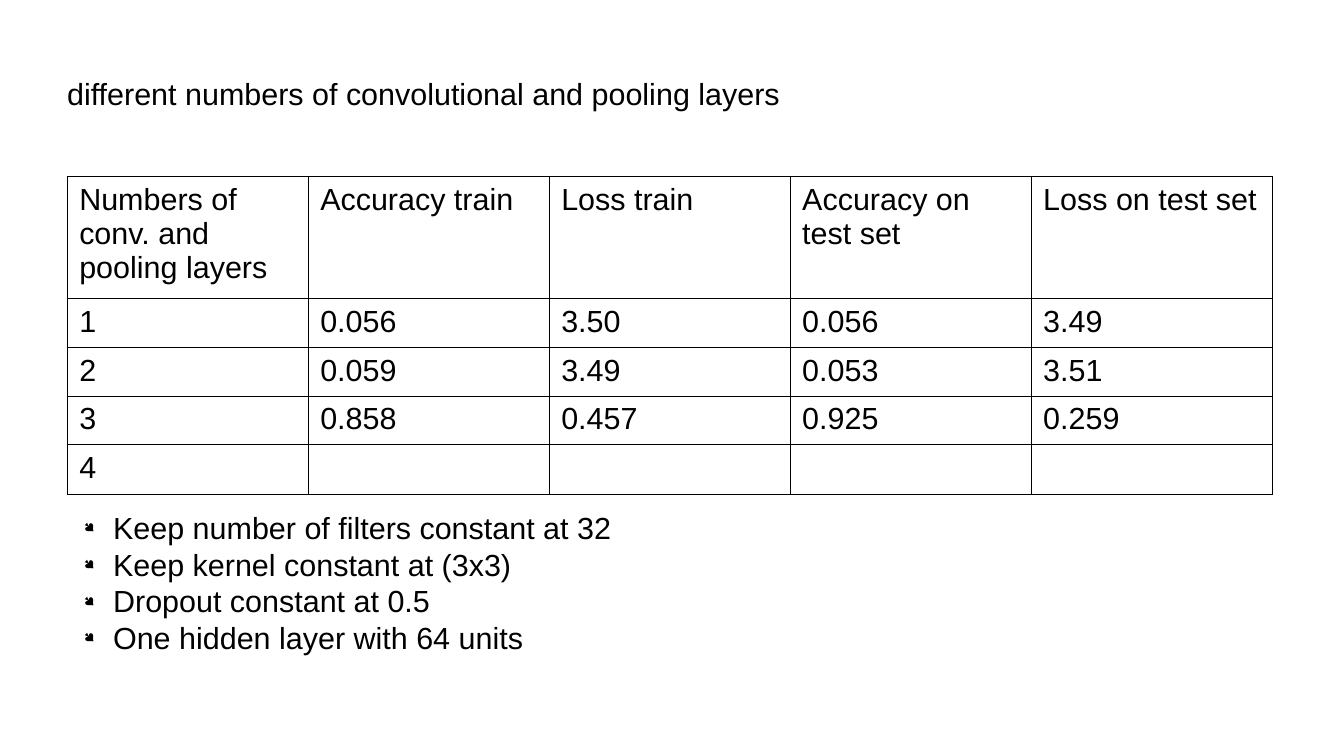
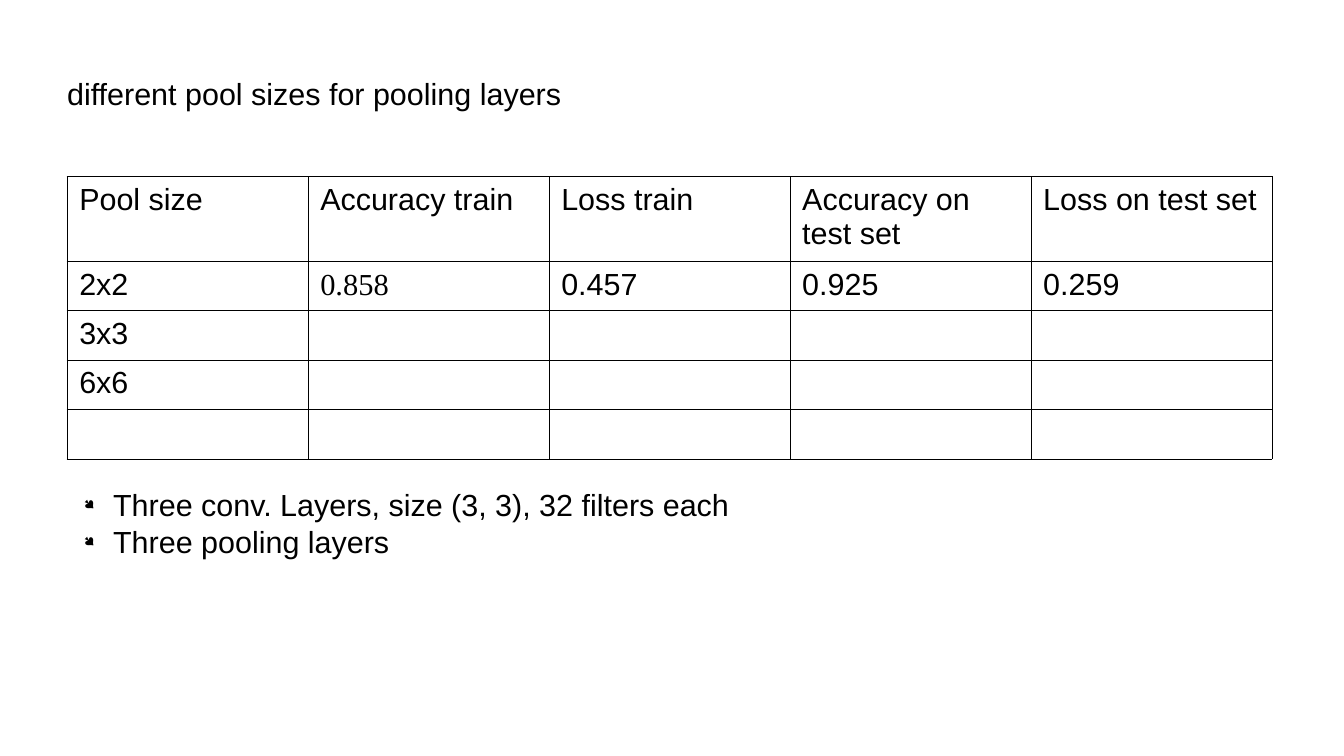
from pptx import Presentation
from pptx import util as u
from pptx.dml.color import RGBColor
from pptx.enum import text
from pptx.oxml import ns
from lxml import etree

BLACK = RGBColor(0x00, 0x00, 0x00)
WIDTH, HEIGHT = 11.02, 6.2
MARGIN = 0.55
COLUMN = 9.88 / 5
ROW = 0.4
MEASURES = ["Accuracy train", "Loss train", "Accuracy on test set", "Loss on test set"]


def write(para, words, font="Arial", size=18, color=BLACK):
    para.alignment = text.PP_ALIGN.LEFT
    span = para.add_run()
    span.text = words
    span.font.name = font
    span.font.size = u.Pt(size)
    span.font.color.rgb = color


def add_xml(parent, tag, **attributes):
    return etree.SubElement(parent, ns.qn(tag), attributes)


class ResultsDeck:
    def __init__(self):
        self.deck = Presentation()
        self.deck.slide_width = u.Inches(WIDTH)
        self.deck.slide_height = u.Inches(HEIGHT)
        self.page = None

    def place(self, column, row, columns, rows):
        return (u.Inches(MARGIN + column * COLUMN), u.Inches(row * ROW),
                u.Inches(columns * COLUMN), u.Inches(rows * ROW))

    def start_page(self, title):
        self.page = self.deck.slides.add_slide(self.deck.slide_layouts[5])
        box = self.page.shapes.title
        box.left, box.top, box.width, box.height = self.place(0, 0.62, 5.02, 2.6)
        frame = box.text_frame
        frame.margin_left = frame.margin_right = frame.margin_top = frame.margin_bottom = 0
        frame.vertical_anchor = text.MSO_ANCHOR.MIDDLE
        frame.auto_size = text.MSO_AUTO_SIZE.NONE
        write(frame.paragraphs[0], title)

    def border(self, cell):
        properties = cell._tc.get_or_add_tcPr()
        for index, side in enumerate(("a:lnL", "a:lnR", "a:lnT", "a:lnB")):
            line = etree.Element(ns.qn(side), w=str(u.Pt(0.57)))
            fill = add_xml(line, "a:solidFill")
            add_xml(fill, "a:srgbClr", val=str(BLACK))
            properties.insert(index, line)

    def add_results(self, first_header, results, header_rows, fonts):
        rows = [[first_header] + MEASURES] + results
        size = self.place(0, 3.62, 5, header_rows + len(results))
        table = self.page.shapes.add_table(len(rows), 5, *size).table
        table.first_row = table.horz_banding = False
        for column in table.columns:
            column.width = u.Inches(COLUMN)
        for index, values in enumerate(rows):
            table.rows[index].height = u.Inches(ROW * (1 if index else header_rows))
            for position in range(5):
                cell = table.cell(index, position)
                cell.fill.background()
                self.border(cell)
                if position < len(values):
                    write(cell.text_frame.paragraphs[0], values[position],
                          font=fonts.get((index, position), "Arial"))

    def add_notes(self, notes, row, columns):
        size = self.place(0.02, row, columns, 0.25 + 0.7 * len(notes))
        frame = self.page.shapes.add_textbox(*size).text_frame
        frame.word_wrap = False
        frame.auto_size = text.MSO_AUTO_SIZE.SHAPE_TO_FIT_TEXT
        for index, note in enumerate(notes):
            para = frame.add_paragraph() if index else frame.paragraphs[0]
            write(para, note)
            properties = para._p.get_or_add_pPr()
            properties.set("marL", str(u.Inches(0.24)))
            properties.set("indent", str(-u.Inches(0.24)))
            color = add_xml(properties, "a:buClr")
            add_xml(color, "a:srgbClr", val=str(BLACK))
            add_xml(properties, "a:buSzPct", val="45000")
            add_xml(properties, "a:buFont", typeface="Wingdings", charset="2")
            add_xml(properties, "a:buChar", char="●")

    def add_experiment(self, title, first_header, results, header_rows,
                       notes, notes_row, notes_columns, fonts={}):
        self.start_page(title)
        self.add_results(first_header, results, header_rows, fonts)
        self.add_notes(notes, notes_row, notes_columns)


def main():
    report = ResultsDeck()
    report.add_experiment(
        "different numbers of convolutional and pooling layers",
        "Numbers of conv. and pooling layers",
        [["1", "0.056", "3.50", "0.056", "3.49"],
         ["2", "0.059", "3.49", "0.053", "3.51"],
         ["3", "0.858", "0.457", "0.925", "0.259"],
         ["4"]],
        header_rows=2.5,
        notes=["Keep number of filters constant at 32",
               "Keep kernel constant at (3x3)",
               "Dropout constant at 0.5",
               "One hidden layer with 64 units"],
        notes_row=10.32, notes_columns=2.29)
    report.add_experiment(
        "different pool sizes for pooling layers",
        "Pool size",
        [["2x2", "0.858", "0.457", "0.925", "0.259"], ["3x3"], ["6x6"], []],
        header_rows=1.75,
        notes=["Three conv. Layers, size (3, 3), 32 filters each",
               "Three pooling layers"],
        notes_row=9.85, notes_columns=2.78,
        fonts={(1, 1): "Times New Roman"})
    report.deck.save("out.pptx")


if __name__ == "__main__":
    main()
